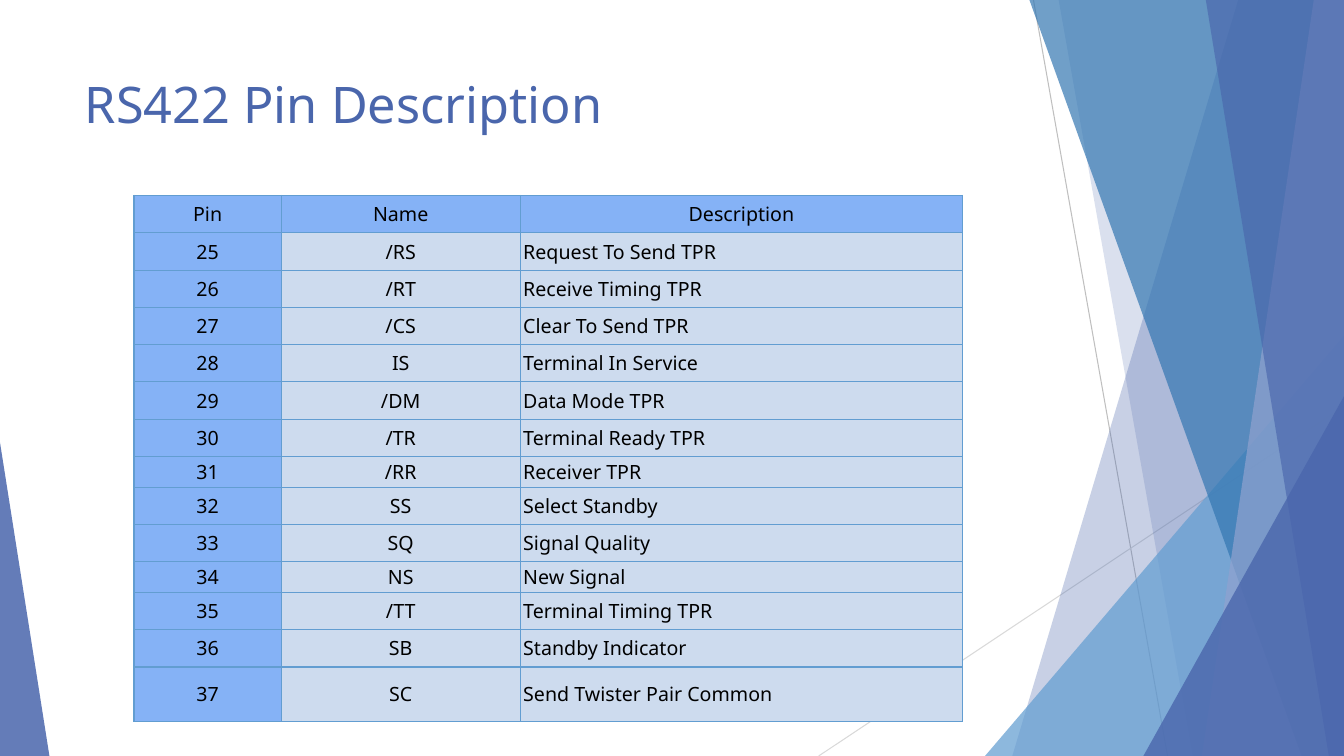
import pptx
import pptx.util
import pptx.dml.color
import pptx.enum.shapes
import pptx.enum.text
import pptx.oxml
import pptx.oxml.ns
import lxml.etree

Inches = pptx.util.Inches
qn = pptx.oxml.ns.qn
hues = {
    "navy": "4A66AC", "sky": "629DD1", "blue": "3477B2", "mist": "90A2CF",
    "gray": "BFBFBF", "pale": "D9D9D9", "head": "85B2F6", "body": "CDDBEE",
    "ink": "000000",
}


def rgb(hue):
    return pptx.dml.color.RGBColor.from_string(hues[hue])


def style(item, form):
    for key, value in form.items():
        setattr(item, key, value)


deck = pptx.Presentation()
style(deck, {"slide_width": Inches(13.33), "slide_height": Inches(7.5)})
slide = deck.slides.add_slide(deck.slide_layouts[5])
shapes = slide.shapes

title = shapes.title
style(title, {"left": Inches(0.74), "top": Inches(0.67),
              "width": Inches(9.4), "height": Inches(0.72)})
frame = title.text_frame
style(frame, {"text": "RS422 Pin Description", "word_wrap": True,
              "vertical_anchor": pptx.enum.text.MSO_ANCHOR.MIDDLE})
para = frame.paragraphs[0]
para.alignment = pptx.enum.text.PP_ALIGN.LEFT
font = para.runs[0].font
style(font, {"name": "Noto Sans", "size": pptx.util.Pt(36)})
font.color.rgb = rgb("navy")

for ends, hue in [((10.25, 0, 11.58, 7.5), "gray"), ((13.33, 4.03, 8.12, 7.5), "pale")]:
    line = shapes.add_connector(
        pptx.enum.shapes.MSO_CONNECTOR.STRAIGHT, *[Inches(v) for v in ends])
    line.line.width = pptx.util.Pt(0.75)
    line.line.color.rgb = rgb(hue)
    lxml.etree.SubElement(line._element.spPr, qn("a:effectLst"))

facets = [
    ("band", (12.28, 10.04), "navy", 30),
    ("band", (10.5, 11.83), "navy", 20),
    ("wedge", (9.77, 3.33, 3.56, 1), "sky", 72),
    ("band", (10.21, 12.91), "blue", 70),
    ("band", (13.03, 11.92), "mist", 70),
    ("band", (11.96, 13.18), "navy", 65),
    ("wedge", (11.34, 3.93, 1.99, 1), "navy", 80),
    ("wedge", (0, 4.39, 0.49, 0), "navy", 85),
]
for kind, nums, hue, alpha in facets:
    if kind == "band":
        head, foot = nums
        pen = shapes.build_freeform(Inches(head), 0)
        pen.add_line_segments([(Inches(x), Inches(y)) for x, y in
                               [(13.33, 0), (13.33, 7.5), (foot, 7.5)]])
        facet = pen.convert_to_shape()
    else:
        left, top, width, tip = nums
        facet = shapes.add_shape(
            pptx.enum.shapes.MSO_SHAPE.ISOSCELES_TRIANGLE,
            Inches(left), Inches(top), Inches(width), Inches(7.5 - top))
        facet.adjustments[0] = tip
    facet.shadow.inherit = False
    facet.line.fill.background()
    facet.fill.solid()
    facet.fill.fore_color.rgb = rgb(hue)
    tone = facet._element.spPr.find(qn("a:solidFill"))[0]
    lxml.etree.SubElement(tone, qn("a:alpha"), val=str(alpha * 1000))

pins = [
    ("/RS", "Request To Send TPR"),
    ("/RT", "Receive Timing TPR"),
    ("/CS", "Clear To Send TPR"),
    ("IS", "Terminal In Service"),
    ("/DM", "Data Mode TPR"),
    ("/TR", "Terminal Ready TPR"),
    ("/RR", "Receiver TPR"),
    ("SS", "Select Standby"),
    ("SQ", "Signal Quality"),
    ("NS", "New Signal"),
    ("/TT", "Terminal Timing TPR"),
    ("SB", "Standby Indicator"),
    ("SC", "Send Twister Pair Common"),
]
rows = [("Pin", "Name", "Description")]
rows += [(str(pin), *pair) for pin, pair in enumerate(pins, 25)]
table = shapes.add_table(
    len(rows), 3, Inches(1.33), Inches(1.94), Inches(8.22), Inches(5.19)).table
for col, width in zip(table.columns, [1.46, 2.37, 4.39]):
    col.width = Inches(width)
tall = {7: 0.29, 10: 0.29, 13: 0.54}

for r, row in enumerate(rows):
    table.rows[r].height = Inches(tall.get(r, 0.37))
    for c, text in enumerate(row):
        cell = table.cell(r, c)
        side = Inches(0.03 if r else 0.02)
        style(cell, {"text": text, "margin_left": side, "margin_right": side,
                     "margin_top": Inches(0.02), "margin_bottom": Inches(0.02),
                     "vertical_anchor": pptx.enum.text.MSO_ANCHOR.MIDDLE})
        para = cell.text_frame.paragraphs[0]
        align = pptx.enum.text.PP_ALIGN
        para.alignment = align.LEFT if r and c == 2 else align.CENTER
        font = para.runs[0].font
        style(font, {"name": "Noto Sans", "size": pptx.util.Pt(14), "bold": False})
        font.color.rgb = rgb("ink")
        props = cell._tc.get_or_add_tcPr()
        for tag in ["a:lnL", "a:lnR", "a:lnT", "a:lnB"]:
            edge = lxml.etree.SubElement(props, qn(tag), w="12700")
            fill = lxml.etree.SubElement(edge, qn("a:solidFill"))
            lxml.etree.SubElement(fill, qn("a:srgbClr"), val=hues["sky"])
        cell.fill.solid()
        cell.fill.fore_color.rgb = rgb("body" if r and c else "head")

deck.save("out.pptx")
